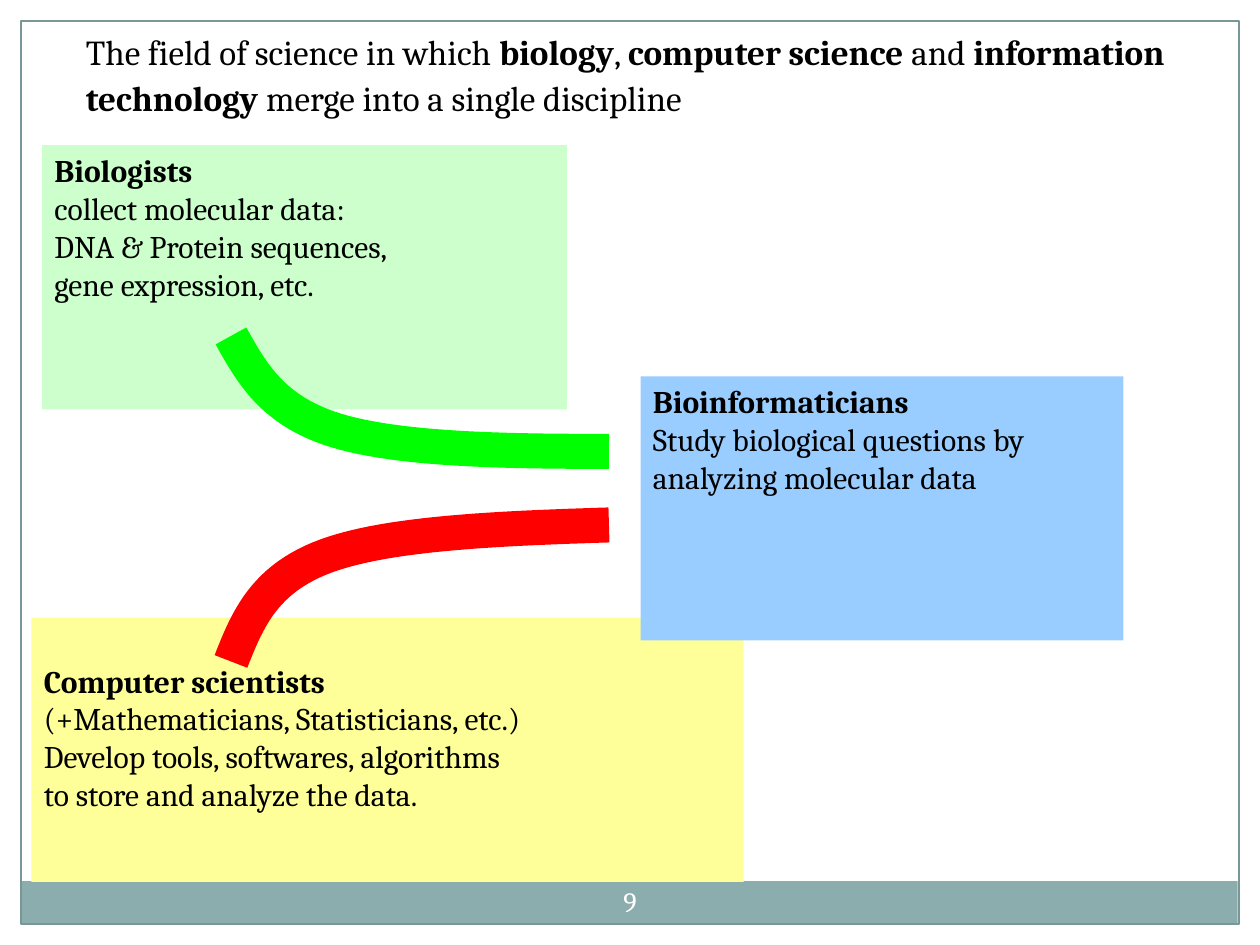
from dataclasses import dataclass

from pptx import Presentation
from pptx.dml.color import RGBColor
from pptx.enum.shapes import MSO_SHAPE
from pptx.enum.text import MSO_ANCHOR, PP_ALIGN
from pptx.util import Pt


@dataclass(frozen=True)
class Theme:
    font: str = "Cambria"
    ink: str = "000000"
    paper: str = "FFFFFF"
    band: str = "8CADAE"
    frame: str = "7A9798"
    biology: str = "CCFFCC"
    computing: str = "FFFF99"
    bioinformatics: str = "99CCFF"
    biology_flow: str = "00FF00"
    computing_flow: str = "FF0000"
    heading_size: float = 20
    body_size: float = 18
    number_size: float = 16
    flow_width: float = 20


def bezier(start, control1, control2, end, steps=24):
    """Points along a cubic curve, without its start."""
    for step in range(1, steps + 1):
        t = step / steps
        u = 1 - t
        weights = (u**3, 3 * u * u * t, 3 * u * t * t, t**3)
        yield tuple(
            sum(w * value for w, value in zip(weights, axis))
            for axis in zip(start, control1, control2, end)
        )


class SlideBuilder:
    def __init__(self, slide, theme):
        self.slide = slide
        self.theme = theme

    def format_run(self, run, size, color, bold=False):
        run.font.name = self.theme.font
        run.font.size = Pt(size)
        run.font.bold = bold
        run.font.color.rgb = RGBColor.from_string(color)

    def rectangle(self, left, top, width, height, fill=None, line=None):
        box = self.slide.shapes.add_shape(
            MSO_SHAPE.RECTANGLE, Pt(left), Pt(top), Pt(width), Pt(height))
        box.shadow.inherit = False
        if fill:
            box.fill.solid()
            box.fill.fore_color.rgb = RGBColor.from_string(fill)
        else:
            box.fill.background()
        if line:
            box.line.color.rgb = RGBColor.from_string(line)
            box.line.width = Pt(0.75)
        else:
            box.line.fill.background()
        return box

    def card(self, left, top, width, height, fill, lines, inset_top=3.6):
        frame = self.rectangle(left, top, width, height, fill).text_frame
        frame.word_wrap = True
        frame.vertical_anchor = MSO_ANCHOR.TOP
        frame.margin_top = Pt(inset_top)
        for index, line in enumerate(lines):
            paragraph = frame.add_paragraph() if index else frame.paragraphs[0]
            paragraph.text = line
            paragraph.alignment = PP_ALIGN.LEFT
            for run in paragraph.runs:
                self.format_run(run, self.theme.body_size, self.theme.ink, index == 0)

    def flow(self, color, start, *curves):
        builder = self.slide.shapes.build_freeform(Pt(start[0]), Pt(start[1]))
        for curve in curves:
            points = bezier(start, *curve)
            builder.add_line_segments([(Pt(x), Pt(y)) for x, y in points], close=False)
            start = curve[-1]
        stroke = builder.convert_to_shape()
        stroke.shadow.inherit = False
        stroke.fill.background()
        stroke.line.color.rgb = RGBColor.from_string(color)
        stroke.line.width = Pt(self.theme.flow_width)

    def text(self, left, top, width, height, pieces, size, color):
        frame = self.slide.shapes.add_textbox(
            Pt(left), Pt(top), Pt(width), Pt(height)).text_frame
        frame.word_wrap = True
        paragraph = frame.paragraphs[0]
        for content, bold in pieces:
            run = paragraph.add_run()
            run.text = content
            self.format_run(run, size, color, bold)
        return frame


def main():
    deck = Presentation()
    deck.slide_width, deck.slide_height = Pt(720), Pt(540)
    theme = Theme()
    page = SlideBuilder(deck.slides.add_slide(deck.slide_layouts[6]), theme)

    # Page margins, footer band and frame
    for margin in ((0, 0, 720, 12), (708, 0, 12, 540), (0, 0, 12, 540)):
        page.rectangle(*margin, fill=theme.paper)
    page.rectangle(11.75, 503.5, 695.5, 24.5, fill=theme.band)
    page.rectangle(12, 12, 696, 516, line=theme.frame)

    # The three groups of people
    page.card(24, 83, 300, 151, theme.biology, [
        "Biologists",
        "collect molecular data:",
        "DNA & Protein sequences,",
        "gene expression, etc.",
    ])
    page.card(18, 353, 407, 151, theme.computing, [
        "Computer scientists",
        "(+Mathematicians, Statisticians, etc.)",
        "Develop tools, softwares, algorithms \nto store and analyze the data.",
    ], inset_top=25)
    page.card(366, 215, 276, 151, theme.bioinformatics, [
        "Bioinformaticians",
        "Study biological questions by analyzing molecular data",
    ])

    # Curves leading to bioinformatics
    page.flow(theme.biology_flow, (132, 192),
              ((144, 213.5), (156, 235), (192, 246)),
              ((228, 257), (288, 258), (348, 258)))
    page.flow(theme.computing_flow, (132, 378),
              ((141.5, 354), (151, 330.5), (187, 317.5)),
              ((223, 304.5), (286, 302), (348, 300)))

    # Definition
    definition = page.text(42, 11.5, 642, 60.5, [
        ("The field of science in which ", False),
        ("biology", True),
        (", ", False),
        ("computer science", True),
        (" and ", False),
        ("information technology", True),
        (" merge into a single discipline", False),
    ], theme.heading_size, theme.ink)
    definition.paragraphs[0].line_spacing = 1.1

    # Slide number
    number = page.text(336, 498, 48, 34.5, [("9", False)],
                       theme.number_size, theme.paper)
    number.vertical_anchor = MSO_ANCHOR.MIDDLE
    number.margin_left = number.margin_right = Pt(3.6)
    number.paragraphs[0].alignment = PP_ALIGN.CENTER

    deck.save("out.pptx")


if __name__ == "__main__":
    main()
